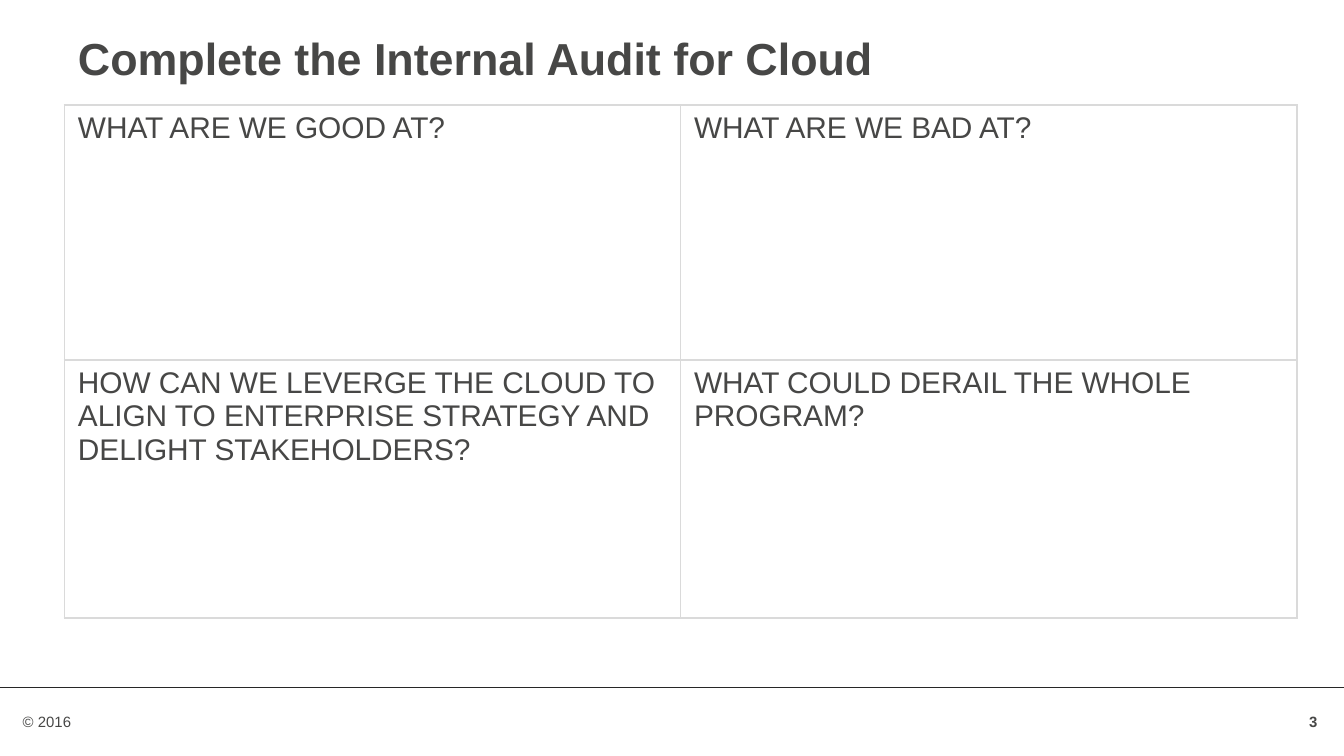
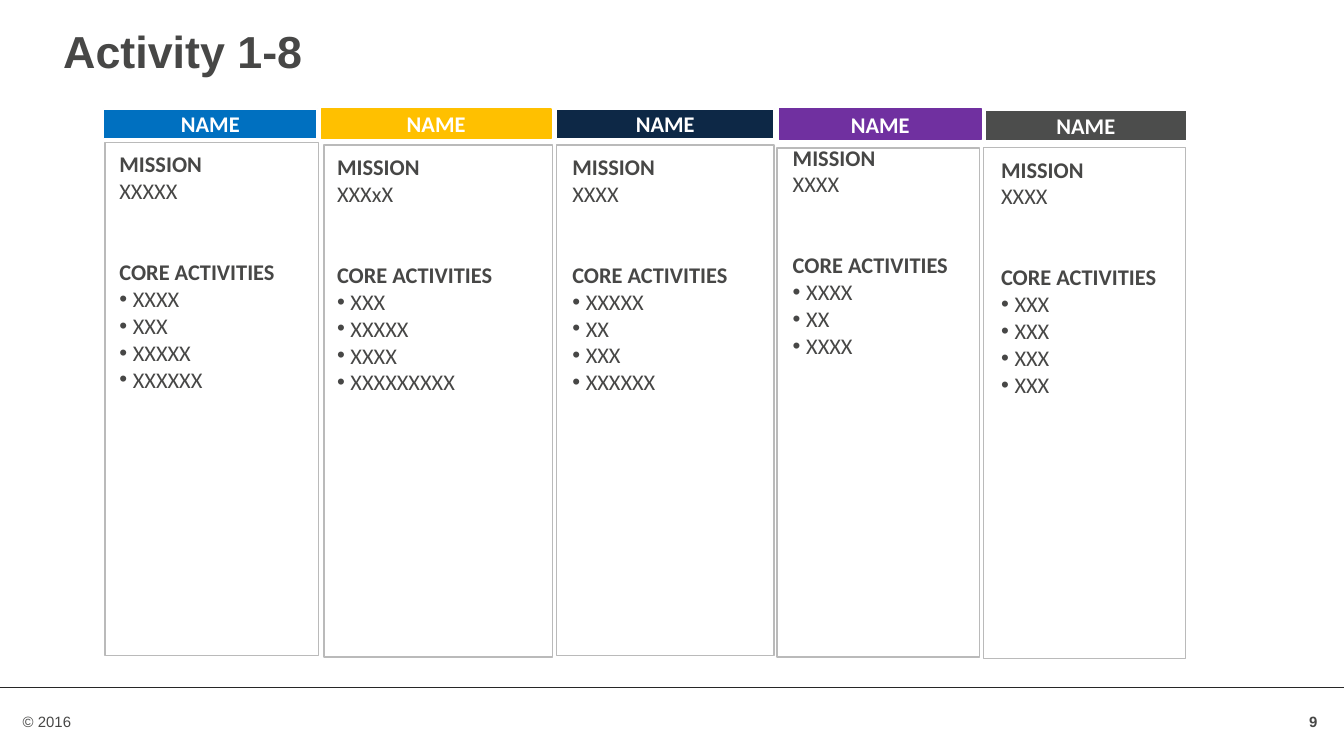
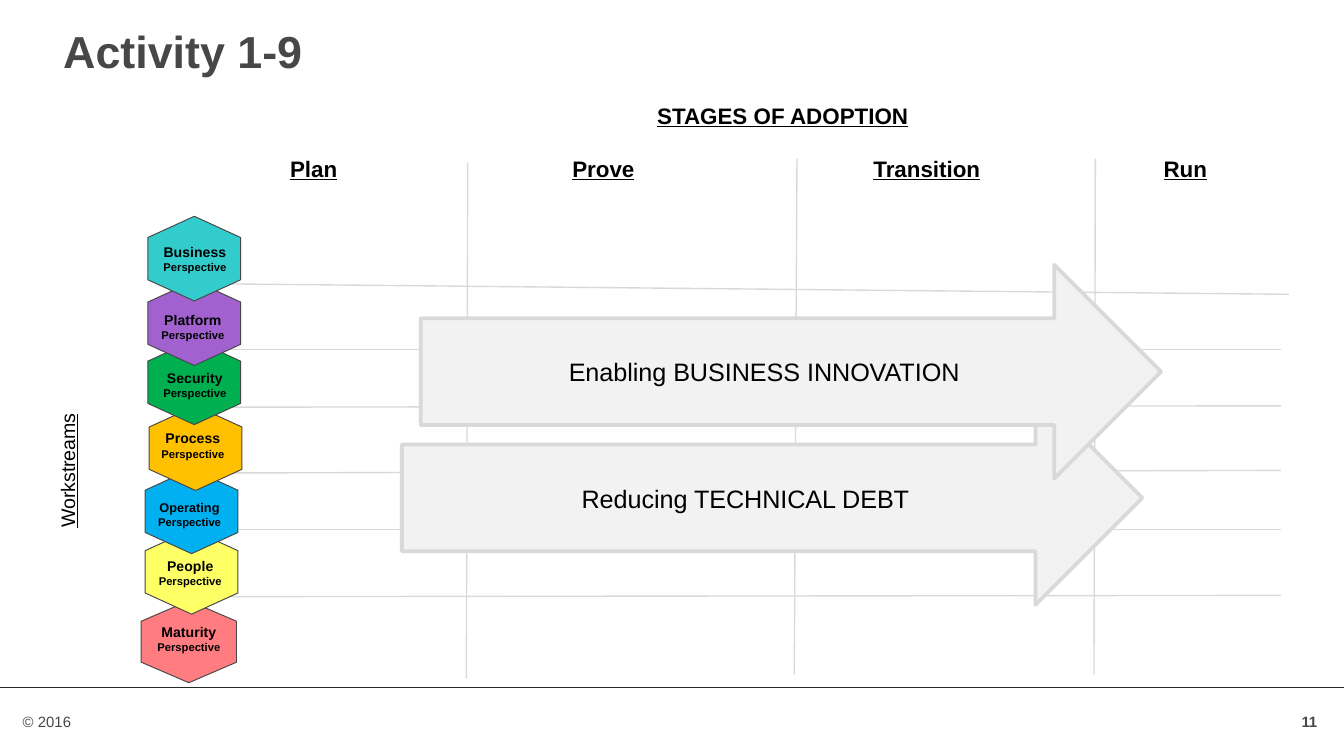
from lxml.etree import SubElement
from pptx import Presentation
from pptx.dml.color import RGBColor
from pptx.enum.shapes import MSO_CONNECTOR as Connector, MSO_SHAPE as Shape
from pptx.enum.text import MSO_ANCHOR as Anchor, PP_ALIGN as Align
from pptx.oxml.ns import qn
from pptx.util import Inches, Pt

# Shared style
INK = "474746"
BLACK = "000000"
WHITE = "FFFFFF"
PANEL_LINE = "BABABA"
GRID_LINE = "D9D9D9"
TABLE_LINE = "DADADA"
BODY_FONT = "Arial"
CARD_FONT = "Calibri"
SLIDE_WIDTH = 10
TITLE_BOX = (0.37, 0.13, 8.97, 0.83)

AUDIT_BOX = (0.48, 0.78, 9.17, 3.82)
AUDIT_QUESTIONS = [
    ["WHAT ARE WE GOOD AT?", "WHAT ARE WE BAD AT?"],
    ["HOW CAN WE LEVERGE THE CLOUD TO ALIGN TO ENTERPRISE STRATEGY "
     "AND DELIGHT STAKEHOLDERS?", "WHAT COULD DERAIL THE WHOLE PROGRAM?"],
]

# Header fill, header line, header box, panel box, text box, mission, activities
TEAMS = [
    ("0070C0", WHITE, (0.77, 0.81, 1.59, 0.22), (0.78, 1.06, 1.59, 3.82),
     (0.79, 1.07, 1.58, 3.98), "XXXXX", ["XXXX", "XXX", "XXXXX", "XXXXXX"]),
    ("FFC000", "FFC000", (2.39, 0.81, 1.71, 0.22), (2.41, 1.08, 1.7, 3.81),
     (2.41, 1.09, 1.63, 2.31), "XXXxX", ["XXX", "XXXXX", "XXXX", "XXXXXXXXX"]),
    ("0D2846", WHITE, (4.14, 0.81, 1.62, 0.22), (4.14, 1.08, 1.62, 3.8),
     (4.16, 1.09, 1.59, 2.63), "XXXX", ["XXXXX", "XX", "XXX", "XXXXXX"]),
    ("7030A0", "7030A0", (5.8, 0.81, 1.5, 0.23), (5.78, 1.1, 1.51, 3.79),
     (5.8, 1.02, 1.52, 3.57), "XXXX", ["XXXX", "XX", "XXXX"]),
    ("4C4D4C", WHITE, (7.33, 0.82, 1.5, 0.23), (7.32, 1.1, 1.5, 3.8),
     (7.35, 1.11, 1.48, 2.63), "XXXX", ["XXX", "XXX", "XXX", "XXX"]),
]

# Name, name size, fill, hexagon box, label box; the upper ones overlap the lower
PERSPECTIVES = [
    ("Maturity", 7.5, "FF7C80", (1.1, 4.42, 0.61, 0.71), (0.95, 4.59, 0.91, 0.45)),
    ("People", 7.5, "FFFF66", (1.11, 3.91, 0.63, 0.69), (1.04, 4.1, 0.75, 0.61)),
    ("Operating", 6.8, "00B0F0", (1.11, 3.46, 0.63, 0.69), (1.02, 3.67, 0.78, 0.9)),
    ("Process", 7.5, "FFC000", (1.14, 2.99, 0.63, 0.69), (1.06, 3.15, 0.75, 0.79)),
    ("Security", 7.5, "00B050", (1.13, 2.5, 0.63, 0.69), (1.08, 2.7, 0.74, 0.79)),
    ("Platform", 7.5, "A162D0", (1.13, 2.06, 0.63, 0.69), (1.06, 2.27, 0.75, 0.79)),
    ("Business", 7.5, "33CCCC", (1.13, 1.58, 0.63, 0.69), (1.06, 1.76, 0.78, 0.79)),
]

STAGE_DIVIDERS = [
    ((3.48, 1.21), (3.47, 5.05)),
    ((5.93, 1.18), (5.91, 5.02)),
    ((8.15, 1.18), (8.14, 5.02)),
]
WORKSTREAM_DIVIDERS = [
    ((1.43, 2.11), (9.59, 2.19)),
    ((1.45, 2.6), (9.53, 2.6)),
    ((1.46, 3.03), (9.53, 3.02)),
    ((1.48, 3.52), (9.53, 3.5)),
    ((1.48, 3.94), (9.53, 3.94)),
    ((1.5, 4.44), (9.53, 4.43)),
]
STAGES = ["Plan", "Prove", "Transition", "Run"]
STAGE_TABS = [2.1, 4.34, 6.5]
ARROWS = [
    ("Reducing TECHNICAL DEBT", (2.99, 2.91, 5.51, 1.59)),
    ("Enabling BUSINESS INNOVATION", (3.13, 1.97, 5.51, 1.59)),
]


def color(hex_string):
    return RGBColor.from_string(hex_string)


def inches(values):
    return [Inches(value) for value in values]


def add_run(paragraph, text, size, hex_color=INK, font=BODY_FONT,
            bold=False, underline=False):
    run = paragraph.add_run()
    run.text = text
    run.font.name = font
    run.font.size = Pt(size)
    run.font.bold = bold
    run.font.underline = underline
    run.font.color.rgb = color(hex_color)


def add_text_box(slide, box, wrap=True, anchor=Anchor.TOP):
    shape = slide.shapes.add_textbox(*inches(box))
    shape.text_frame.word_wrap = wrap
    shape.text_frame.vertical_anchor = anchor
    return shape


def add_box(slide, kind, box, fill, line, width):
    shape = slide.shapes.add_shape(kind, *inches(box))
    shape.shadow.inherit = False
    shape.fill.solid()
    shape.fill.fore_color.rgb = color(fill)
    shape.line.color.rgb = color(line)
    shape.line.width = Pt(width)
    return shape


def center_text(shape, text, size, **style):
    shape.text_frame.word_wrap = True
    shape.text_frame.vertical_anchor = Anchor.MIDDLE
    paragraph = shape.text_frame.paragraphs[0]
    paragraph.alignment = Align.CENTER
    add_run(paragraph, text, size, **style)


def add_line(slide, start, end, line, width):
    connector = slide.shapes.add_connector(
        Connector.STRAIGHT, *inches(start), *inches(end))
    connector.line.color.rgb = color(line)
    connector.line.width = Pt(width)
    SubElement(connector._element.spPr, qn("a:effectLst"))


def set_bullet(paragraph):
    properties = paragraph._p.get_or_add_pPr()
    properties.set("marL", str(Inches(0.1)))
    properties.set("indent", str(-Inches(0.1)))
    SubElement(properties, qn("a:buFont")).set("typeface", BODY_FONT)
    SubElement(properties, qn("a:buChar")).set("char", "•")


def set_tabs(paragraph, positions):
    tabs = SubElement(paragraph._p.get_or_add_pPr(), qn("a:tabLst"))
    for position in positions:
        tab = SubElement(tabs, qn("a:tab"))
        tab.set("pos", str(Inches(position)))
        tab.set("algn", "l")


def set_cell_borders(cell, line, width):
    properties = cell._tc.get_or_add_tcPr()
    for side in ("lnL", "lnR", "lnT", "lnB"):
        border = SubElement(properties, qn(f"a:{side}"))
        border.set("w", str(Pt(width)))
        fill = SubElement(border, qn("a:solidFill"))
        SubElement(fill, qn("a:srgbClr")).set("val", line)


def add_slide(presentation, title, number, title_box=TITLE_BOX):
    slide = presentation.slides.add_slide(presentation.slide_layouts[5])
    # Title
    shape = slide.shapes.title
    shape.left, shape.top, shape.width, shape.height = inches(title_box)
    shape.text_frame.vertical_anchor = Anchor.TOP
    paragraph = shape.text_frame.paragraphs[0]
    paragraph.alignment = Align.LEFT
    add_run(paragraph, title, 24, bold=True)
    # Footer
    add_line(slide, (0, 5.11), (SLIDE_WIDTH, 5.11), "272727", 0.25)
    copyright_box = add_text_box(slide, (0.07, 5.25, 5.51, 0.24))
    add_run(copyright_box.text_frame.paragraphs[0], "© 2016", 8)
    number_box = add_text_box(slide, (9.55, 5.22, 0.35, 0.3), anchor=Anchor.MIDDLE)
    paragraph = number_box.text_frame.paragraphs[0]
    paragraph.alignment = Align.RIGHT
    add_run(paragraph, str(number), 8, bold=True)
    return slide


def add_audit_table(slide):
    table = slide.shapes.add_table(2, 2, *inches(AUDIT_BOX)).table
    table.first_row = False
    table.horz_banding = False
    for row, height in zip(table.rows, (1.9, 1.92)):
        row.height = Inches(height)
    for row, questions in zip(table.rows, AUDIT_QUESTIONS):
        for cell, question in zip(row.cells, questions):
            set_cell_borders(cell, TABLE_LINE, 1)
            cell.fill.background()
            add_run(cell.text_frame.paragraphs[0], question, 16)


def add_team(slide, fill, line, header_box, panel_box, text_box, mission, activities):
    add_box(slide, Shape.RECTANGLE, panel_box, WHITE, PANEL_LINE, 0.75)
    header = add_box(slide, Shape.RECTANGLE, header_box, fill, line, 0.75)
    center_text(header, "NAME", 12, hex_color=WHITE, font=CARD_FONT, bold=True)

    frame = add_text_box(slide, text_box).text_frame
    add_run(frame.paragraphs[0], "MISSION", 12, font=CARD_FONT, bold=True)
    add_run(frame.add_paragraph(), mission, 12, font=CARD_FONT)
    heading = frame.add_paragraph()
    heading.space_before = Pt(29)
    add_run(heading, "CORE ACTIVITIES", 12, font=CARD_FONT, bold=True)
    for activity in activities:
        paragraph = frame.add_paragraph()
        set_bullet(paragraph)
        add_run(paragraph, activity, 12, font=CARD_FONT)


def add_perspective(slide, name, size, fill, hexagon_box, label_box):
    hexagon = add_box(slide, Shape.HEXAGON, hexagon_box, fill, INK, 0.5)
    hexagon.rotation = 90
    frame = add_text_box(slide, label_box).text_frame
    lines = [(frame.paragraphs[0], name, size),
             (frame.add_paragraph(), "Perspective", 6)]
    for paragraph, text, text_size in lines:
        paragraph.alignment = Align.CENTER
        add_run(paragraph, text, text_size, BLACK, bold=True)


def add_stage_headings(slide):
    frame = add_text_box(slide, (2.06, 0.71, 7.53, 0.97)).text_frame
    heading = frame.paragraphs[0]
    heading.alignment = Align.CENTER
    add_run(heading, "STAGES OF ADOPTION", 12, BLACK, bold=True, underline=True)
    stages = frame.add_paragraph()
    stages.space_before = Pt(14)
    set_tabs(stages, STAGE_TABS)
    for index, stage in enumerate(STAGES):
        if index:
            add_run(stages, "\t", 12, BLACK, bold=True)
        add_run(stages, stage, 12, BLACK, bold=True, underline=True)


def add_workstreams_label(slide):
    label = add_text_box(slide, (-0.21, 3.08, 1.52, 0.37), wrap=False)
    label.rotation = 270
    add_run(label.text_frame.paragraphs[0], "Workstreams", 10.5, BLACK, underline=True)


def main():
    presentation = Presentation()
    presentation.slide_width = Inches(SLIDE_WIDTH)
    presentation.slide_height = Inches(SLIDE_WIDTH * 9 / 16)

    # Internal audit
    slide = add_slide(presentation, "Complete the Internal Audit for Cloud", 3,
                      (0.48, 0.18, 9.52, 0.5))
    add_audit_table(slide)

    # Team missions
    slide = add_slide(presentation, "Activity 1-8", 9)
    for team in TEAMS:
        add_team(slide, *team)

    # Adoption roadmap
    slide = add_slide(presentation, "Activity 1-9", 11)
    for start, end in STAGE_DIVIDERS + WORKSTREAM_DIVIDERS:
        add_line(slide, start, end, GRID_LINE, 0.75)
    for perspective in PERSPECTIVES:
        add_perspective(slide, *perspective)
    add_stage_headings(slide)
    add_workstreams_label(slide)
    for text, box in ARROWS:
        arrow = add_box(slide, Shape.RIGHT_ARROW, box, "F2F2F2", GRID_LINE, 2)
        center_text(arrow, text, 13.5, hex_color=BLACK)

    presentation.save("out.pptx")


if __name__ == "__main__":
    main()
